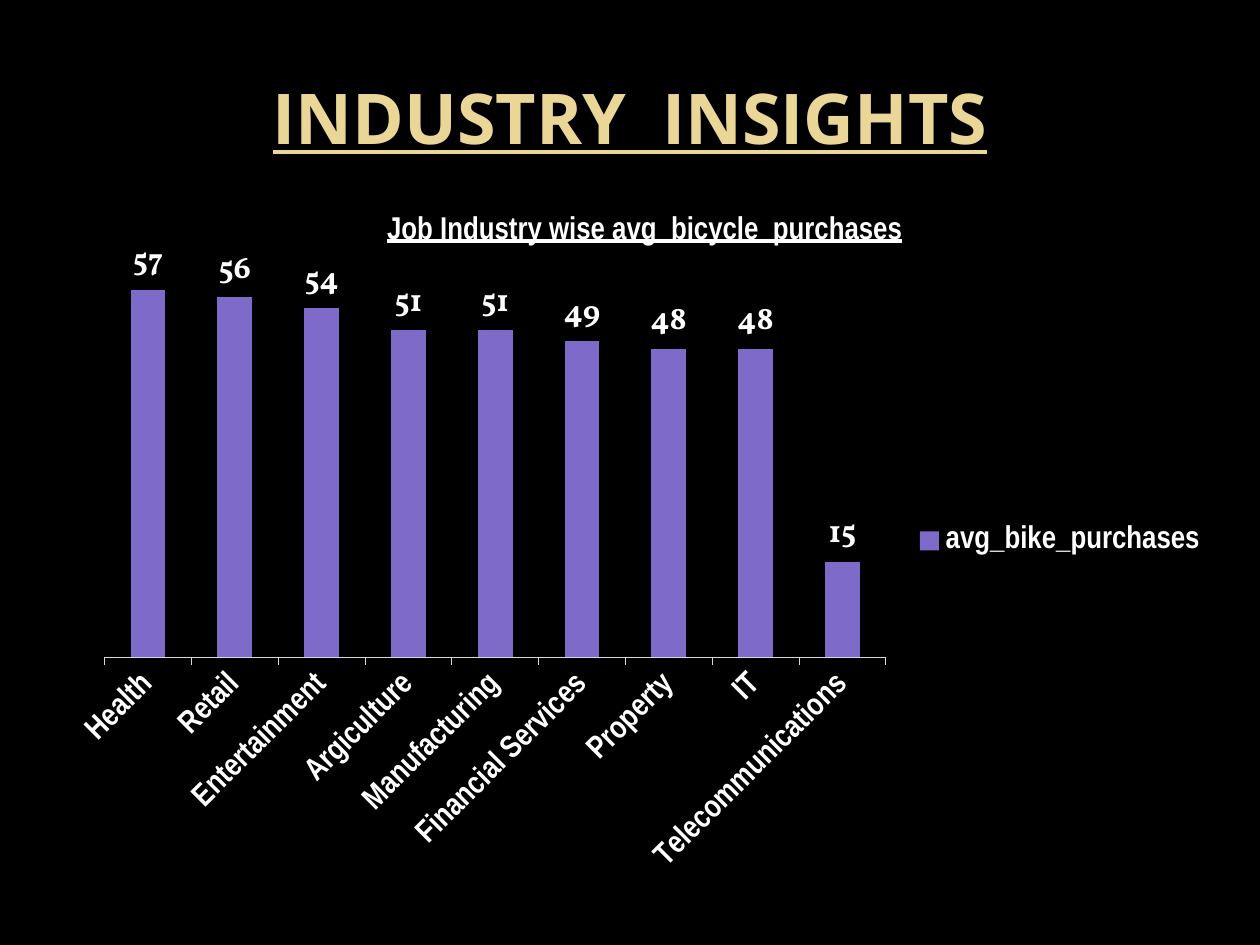
from dataclasses import dataclass

from lxml import etree
from pptx import Presentation
from pptx import util as u
from pptx.chart.data import CategoryChartData
from pptx.dml.color import RGBColor
from pptx.enum import chart as ch, text
from pptx.oxml.ns import qn


@dataclass(frozen=True)
class Theme:
    background: str = "000000"
    title: str = "EAD696"
    ink: str = "FFFFFF"
    bar: str = "7E6BC9"
    axis: str = "D9D9D9"
    title_font: str = "Open Sans"
    label_font: str = "Arial Narrow"
    number_font: str = "Vollkorn"
    title_size: int = 40
    chart_size: int = 18


# Industry: (bar height relative to the tallest, number shown above it)
INDUSTRIES = {
    "Health": (100, "57"), "Retail": (98, "56"), "Entertainment": (95, "54"),
    "Argiculture": (89, "51"), "Manufacturing": (89, "51"),
    "Financial Services": (86, "49"), "Property": (84, "48"),
    "IT": (84, "48"), "Telecommunications": (26, "15"),
}


class Deck:
    def __init__(self, prs, theme):
        self.theme = theme
        self.s = prs.slides.add_slide(prs.slide_layouts[6])
        fill = self.s.background.fill
        fill.solid()
        fill.fore_color.rgb = RGBColor.from_string(theme.background)

    def style(self, font, name, size, color, underline=None):
        font.name, font.size, font.bold = name, u.Pt(size), True
        font.underline = underline
        font.color.rgb = RGBColor.from_string(color)

    def title(self, words, left, top, width, height):
        t = self.theme
        sp = self.s.shapes.add_textbox(*map(u.Cm, (left, top, width, height)))
        tf = sp.text_frame
        tf.word_wrap = True
        tf.vertical_anchor = text.MSO_ANCHOR.MIDDLE
        p = tf.paragraphs[0]
        p.alignment = text.PP_ALIGN.CENTER
        r = p.add_run()
        r.text = words
        self.style(r.font, t.title_font, t.title_size, t.title, True)

    def column_chart(self, heading, series_name, values, left, top, width, height):
        t = self.theme
        data = CategoryChartData()
        data.categories = list(values)
        data.add_series(series_name, [size for size, _ in values.values()])
        frame = self.s.shapes.add_chart(
            ch.XL_CHART_TYPE.COLUMN_CLUSTERED,
            *map(u.Cm, (left, top, width, height)), data)
        chart = frame.chart
        self.style(chart.font, t.label_font, t.chart_size, t.ink)

        # Heading
        chart.has_title = True
        r = chart.chart_title.text_frame.paragraphs[0].add_run()
        r.text = heading
        self.style(r.font, t.label_font, t.chart_size, t.ink, True)

        # Legend
        chart.has_legend = True
        chart.legend.position = ch.XL_LEGEND_POSITION.RIGHT
        chart.legend.include_in_layout = False
        self.style(chart.legend.font, t.label_font, t.chart_size, t.ink)

        # Axes
        value_axis = chart.value_axis
        value_axis.minimum_scale, value_axis.maximum_scale = 0, 105
        value_axis.has_major_gridlines = False
        value_axis.visible = False
        axis = chart.category_axis
        axis.major_tick_mark = ch.XL_TICK_MARK.OUTSIDE
        axis.format.line.color.rgb = RGBColor.from_string(t.axis)
        axis.format.line.width = u.Pt(0.5)
        self.style(axis.tick_labels.font, t.label_font, t.chart_size, t.ink)
        body = axis._element.find(qn("c:txPr")).find(qn("a:bodyPr"))
        body.set("rot", str(-45 * 60000))
        body.set("vert", "horz")

        # Bars and their numbers
        plot = chart.plots[0]
        plot.vary_by_categories = False
        plot.gap_width = 150
        series = plot.series[0]
        fill = series.format.fill
        fill.solid()
        fill.fore_color.rgb = RGBColor.from_string(t.bar)
        for i, (_, number) in enumerate(values.values()):
            label = series.points[i].data_label
            r = label.text_frame.paragraphs[0].add_run()
            r.text = number
            self.style(r.font, t.number_font, t.chart_size, t.ink)
            label.position = ch.XL_LABEL_POSITION.OUTSIDE_END

        # Places inside the chart, in centimetres
        area = chart._chartSpace.find(".//" + qn("c:plotArea"))
        self.place(area, 0, layoutTarget="inner", xMode="edge", yMode="edge",
                   x=0.92 / width, y=1.52 / height,
                   w=15.75 / width, h=7.77 / height)
        self.place(chart.chart_title._element, 1, xMode="edge", yMode="edge",
                   x=6.5 / width, y=0.22 / height)

    def place(self, part, index, **settings):
        for old in part.findall(qn("c:layout")):
            part.remove(old)
        layout = etree.Element(qn("c:layout"))
        part.insert(index, layout)
        manual = etree.SubElement(layout, qn("c:manualLayout"))
        for tag, value in settings.items():
            etree.SubElement(manual, qn("c:" + tag)).set("val", str(value))


def main():
    prs = Presentation()
    prs.slide_width, prs.slide_height = u.Cm(25.4), u.Cm(19.05)
    deck = Deck(prs, Theme())
    deck.title("INDUSTRY  INSIGHTS", 1.27, 0.76, 22.86, 3.18)
    deck.column_chart("Job Industry wise avg_bicycle_purchases",
                      "avg_bike_purchases", INDUSTRIES, 1.19, 3.96, 23.42, 13.89)
    prs.save("out.pptx")


if __name__ == "__main__":
    main()
